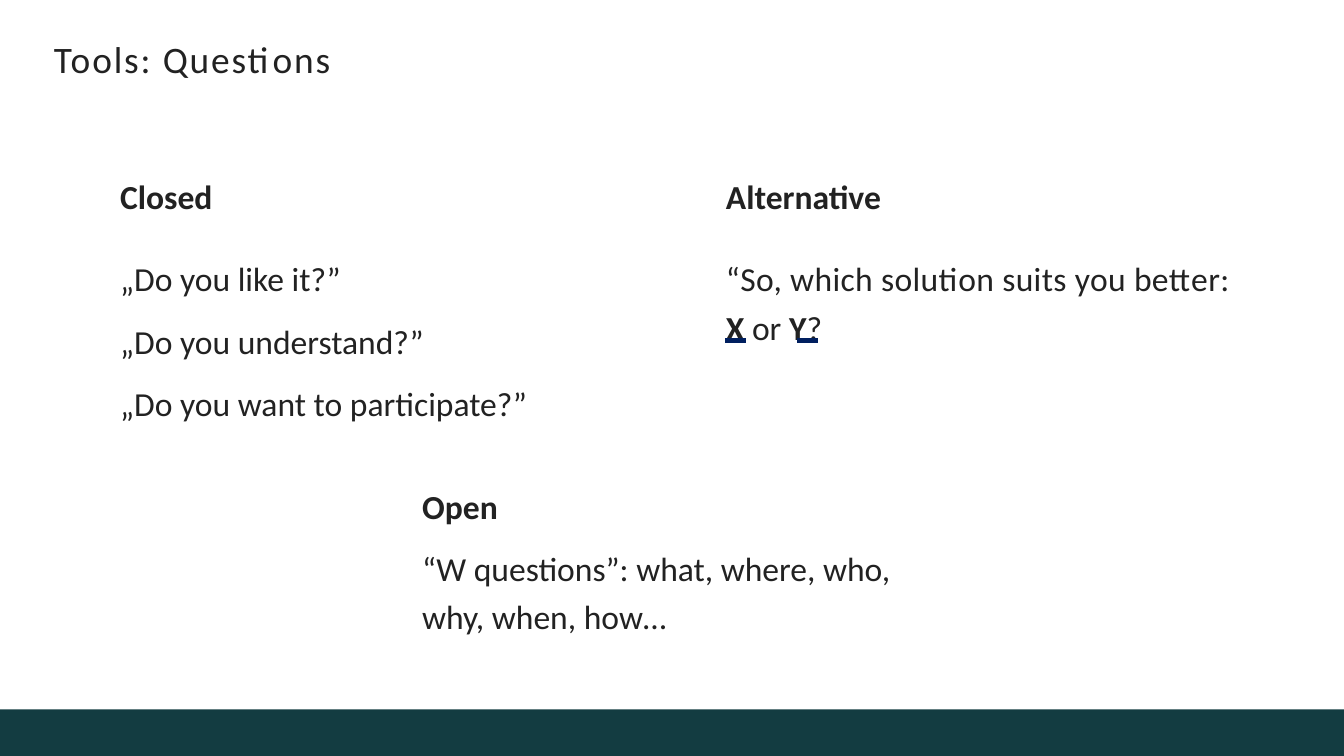
from dataclasses import dataclass

from lxml import etree
from pptx import Presentation
from pptx.dml.color import RGBColor
from pptx.enum import shapes, text
from pptx.oxml import ns
from pptx.util import Cm, Pt


@dataclass(frozen=True)
class Theme:
    font: str = "Calibri"
    title_size: float = 20
    body_size: float = 18
    ink: RGBColor = RGBColor(0x22, 0x22, 0x22)
    footer: RGBColor = RGBColor(0x13, 0x3C, 0x41)
    underline: RGBColor = RGBColor(0x00, 0x1F, 0x5F)


@dataclass(frozen=True)
class Run:
    words: str
    bold: bool = False
    tracking: float = 0


@dataclass(frozen=True)
class Line:
    runs: tuple[Run, ...]
    before: float = 0
    spacing: float = 1.0


@dataclass(frozen=True)
class Block:
    left: float
    top: float
    width: float
    height: float
    lines: tuple[Line, ...]


THEME = Theme()
WIDTH, HEIGHT = 25.4, 14.29
FOOTER_TOP = 13.41
LEFT_COLUMN, RIGHT_COLUMN, MIDDLE_COLUMN = 2.24, 13.69, 7.95
HEADING_TOP, ANSWER_TOP = 3.33, 4.88

TITLE = Block(0.99, 0.69, 23.42, 0.84, (Line((Run("Tools: Questions", tracking=1),)),))
CLOSED_HEADING = Block(LEFT_COLUMN, HEADING_TOP, 4, 0.76, (Line((Run("Closed", True),)),))
CLOSED_QUESTIONS = Block(LEFT_COLUMN, ANSWER_TOP, 8.59, 3.18, (
    Line((Run("„Do you like it?”"),)),
    Line((Run("„Do you understand?”"),), before=11.8),
    Line((Run("„Do you want to participate?”"),), before=11.8),
))
ALTERNATIVE_HEADING = Block(RIGHT_COLUMN, HEADING_TOP, 4, 0.76, (Line((Run("Alternative", True),)),))
ALTERNATIVE_QUESTION = Block(RIGHT_COLUMN, ANSWER_TOP, 10.46, 1.68, (
    Line((Run("“So, which solution suits you better:", tracking=0.2),)),
    Line((Run("X ", True), Run("or "), Run("Y", True), Run("?")), before=4.3),
))
OPEN_QUESTIONS = Block(MIDDLE_COLUMN, 9.19, 9.98, 2.79, (
    Line((Run("Open", True),)),
    Line((Run("“W questions”: what, where, who, why, when, how…"),), before=7.2, spacing=1.2),
))


def apply(target, values: dict) -> None:
    for name, value in values.items():
        setattr(target, name, value)


def write_line(paragraph, line: Line, size: float) -> None:
    """Fill a paragraph without a bullet, overriding the template's list style."""
    apply(paragraph, {"alignment": text.PP_ALIGN.LEFT, "space_before": Pt(line.before),
                      "space_after": Pt(0), "line_spacing": line.spacing})
    properties = paragraph._p.get_or_add_pPr()
    properties.set("marL", str(Cm(0.03)))
    properties.set("indent", "0")
    etree.SubElement(properties, ns.qn("a:buNone"))
    for part in line.runs:
        run = paragraph.add_run()
        run.text = part.words
        apply(run.font, {"name": THEME.font, "size": Pt(size), "bold": part.bold})
        run.font.color.rgb = THEME.ink
        if part.tracking:
            run.font._element.set("spc", str(round(part.tracking * 100)))


def fill_block(shape, block: Block, size: float = THEME.body_size,
               anchor=text.MSO_ANCHOR.TOP) -> None:
    apply(shape, {name: Cm(getattr(block, name)) for name in ("left", "top", "width", "height")})
    frame = shape.text_frame
    apply(frame, {"margin_left": 0, "margin_right": 0, "margin_top": 0, "margin_bottom": 0,
                  "word_wrap": True, "auto_size": text.MSO_AUTO_SIZE.NONE,
                  "vertical_anchor": anchor})
    for index, line in enumerate(block.lines):
        paragraph = frame.add_paragraph() if index else frame.paragraphs[0]
        write_line(paragraph, line, size)


def add_footer(slide) -> None:
    footer = slide.shapes.add_shape(shapes.MSO_SHAPE.RECTANGLE, 0, Cm(FOOTER_TOP),
                                    Cm(WIDTH), Cm(HEIGHT - FOOTER_TOP))
    footer.shadow.inherit = False
    footer.fill.solid()
    footer.fill.fore_color.rgb = THEME.footer
    footer.line.fill.background()


def add_underline(slide, left: float, top: float = 6.43, length: float = 0.39) -> None:
    underline = slide.shapes.add_connector(shapes.MSO_CONNECTOR.STRAIGHT, Cm(left), Cm(top),
                                           Cm(left + length), Cm(top))
    underline.line.color.rgb = THEME.underline
    underline.line.width = Pt(2.5)
    etree.SubElement(underline._element.spPr, ns.qn("a:effectLst"))


def main() -> None:
    presentation = Presentation()
    apply(presentation, {"slide_width": Cm(WIDTH), "slide_height": Cm(HEIGHT)})
    slide = presentation.slides.add_slide(presentation.slide_layouts.get_by_name("Comparison"))

    title, *columns = slide.placeholders
    fill_block(title, TITLE, THEME.title_size, text.MSO_ANCHOR.MIDDLE)
    blocks = (CLOSED_HEADING, CLOSED_QUESTIONS, ALTERNATIVE_HEADING, ALTERNATIVE_QUESTION)
    for placeholder, block in zip(columns, blocks):
        fill_block(placeholder, block)
    fill_block(slide.shapes.add_textbox(0, 0, 0, 0), OPEN_QUESTIONS)

    for left in (13.71, 15.07):
        add_underline(slide, left)
    add_footer(slide)
    presentation.save("out.pptx")


if __name__ == "__main__":
    main()
